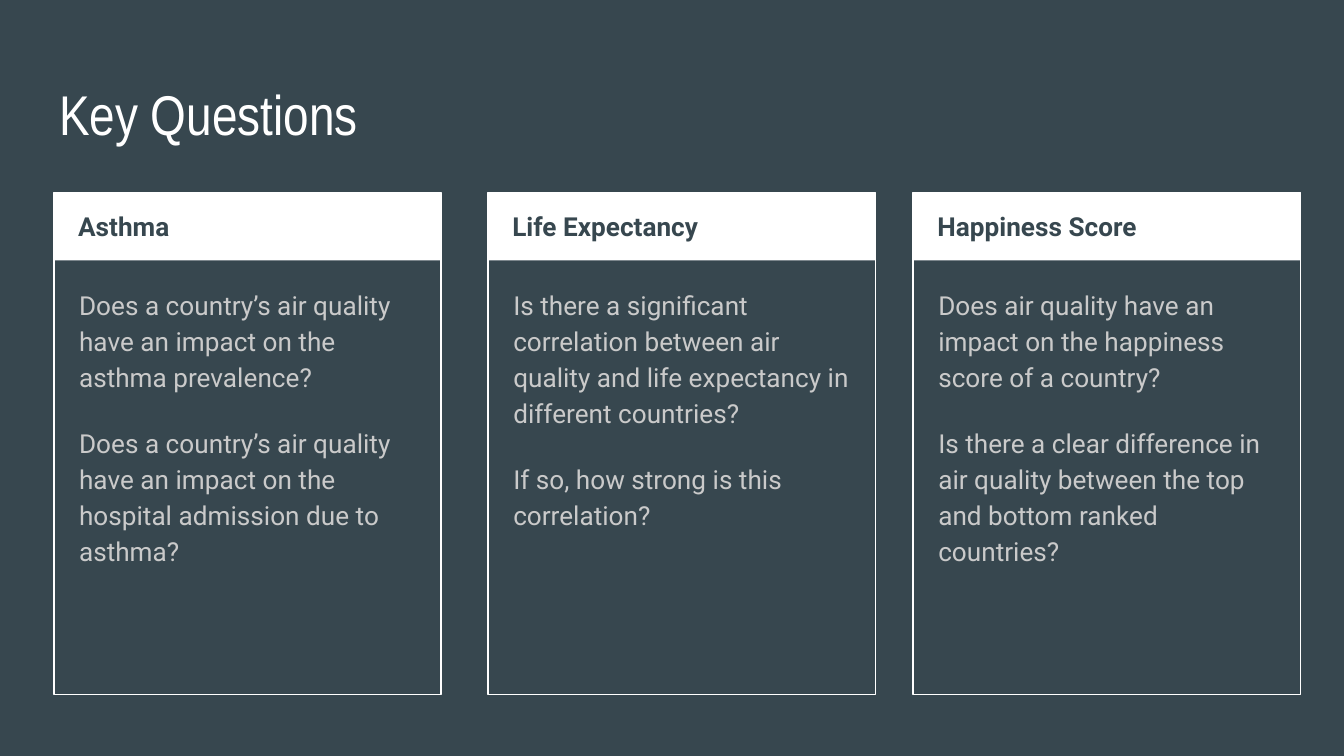
from dataclasses import dataclass

from pptx import Presentation
from pptx.dml.color import RGBColor
from pptx.enum.shapes import MSO_SHAPE
from pptx.enum.text import MSO_ANCHOR, MSO_AUTO_SIZE, PP_ALIGN
from pptx.shapes.autoshape import Shape
from pptx.slide import Slide
from pptx.util import Pt

RECTANGLE = MSO_SHAPE.RECTANGLE
TOP = MSO_ANCHOR.TOP
LEFT = PP_ALIGN.LEFT
NO_FIT = MSO_AUTO_SIZE.NONE

SLATE = RGBColor(0x37, 0x47, 0x4F)
WHITE = RGBColor(0xFF, 0xFF, 0xFF)
LIGHT_GRAY = RGBColor(0xCA, 0xCA, 0xCA)

TITLE_FONT = "Arial Narrow"
BODY_FONT = "Roboto"

# Card geometry in points
CARD_TOP = 103
CARD_WIDTH = 207.4
CARD_HEIGHT = 269
HEADER_HEIGHT = 36.5
TEXT_INDENT = 5.9
TEXT_WIDTH = 196
QUESTIONS_TOP = 145.4
QUESTIONS_HEIGHT = 220
INSET = 7.2


@dataclass
class Card:
    left: float
    heading: str
    questions: list[str]


CARDS = [
    Card(28.9, "Asthma", [
        "Does a country’s air quality have an impact on the asthma prevalence?",
        "Does a country’s air quality have an impact on the hospital admission due to asthma?",
    ]),
    Card(261.5, "Life Expectancy", [
        "Is there a significant correlation between air quality and life expectancy "
        "in different countries?",
        "If so, how strong is this correlation?",
    ]),
    Card(489.2, "Happiness Score", [
        "Does air quality have an impact on the happiness score of a country?",
        "Is there a clear difference in air quality between the top and bottom ranked countries?",
    ]),
]


def place(shape: Shape, left: float, top: float, width: float, height: float) -> None:
    shape.left, shape.top = Pt(left), Pt(top)
    shape.width, shape.height = Pt(width), Pt(height)


def write_text(shape: Shape, lines: list[str], font_name: str, size: float,
               color: RGBColor, bold: bool = False, line_spacing: float = 1.0) -> None:
    frame = shape.text_frame
    frame.word_wrap = True
    frame.auto_size = NO_FIT
    frame.vertical_anchor = TOP
    frame.margin_left = frame.margin_right = Pt(INSET)
    frame.margin_top = frame.margin_bottom = Pt(INSET)
    for index, line in enumerate(lines):
        paragraph = frame.paragraphs[0] if index == 0 else frame.add_paragraph()
        paragraph.text = line
        paragraph.alignment = LEFT
        paragraph.line_spacing = line_spacing
        paragraph.space_before = Pt(16 if index else 0)
        paragraph.font.name = font_name
        paragraph.font.size = Pt(size)
        paragraph.font.bold = bold
        paragraph.font.color.rgb = color


def add_rectangle(slide: Slide, left: float, height: float, filled: bool) -> None:
    shape = slide.shapes.add_shape(
        RECTANGLE, Pt(left), Pt(CARD_TOP), Pt(CARD_WIDTH), Pt(height))
    shape.shadow.inherit = False
    if filled:
        shape.fill.solid()
        shape.fill.fore_color.rgb = WHITE
        shape.line.fill.background()
    else:
        shape.fill.background()
        shape.line.color.rgb = WHITE
        shape.line.width = Pt(0.75)


def add_card(slide: Slide, card: Card) -> None:
    add_rectangle(slide, card.left, HEADER_HEIGHT, filled=True)
    add_rectangle(slide, card.left, CARD_HEIGHT, filled=False)

    text_left = Pt(card.left + TEXT_INDENT)
    heading = slide.shapes.add_textbox(
        text_left, Pt(CARD_TOP), Pt(TEXT_WIDTH), Pt(HEADER_HEIGHT))
    write_text(heading, [card.heading], BODY_FONT, 14, SLATE, bold=True, line_spacing=1.15)

    questions = slide.shapes.add_textbox(
        text_left + Pt(0.5), Pt(QUESTIONS_TOP), Pt(TEXT_WIDTH), Pt(QUESTIONS_HEIGHT))
    write_text(questions, card.questions, BODY_FONT, 14, LIGHT_GRAY, line_spacing=1.15)


def main() -> None:
    deck = Presentation()
    deck.slide_width, deck.slide_height = Pt(720), Pt(405)
    slide = deck.slides.add_slide(deck.slide_layouts[5])

    # Background
    slide.background.fill.solid()
    slide.background.fill.fore_color.rgb = SLATE

    # Title
    title = slide.shapes.title
    place(title, 24.5, 35.3, 671, 45.4)
    write_text(title, ["Key Questions"], TITLE_FONT, 30, WHITE)

    # Question cards
    for card in CARDS:
        add_card(slide, card)

    deck.save("out.pptx")


if __name__ == "__main__":
    main()
